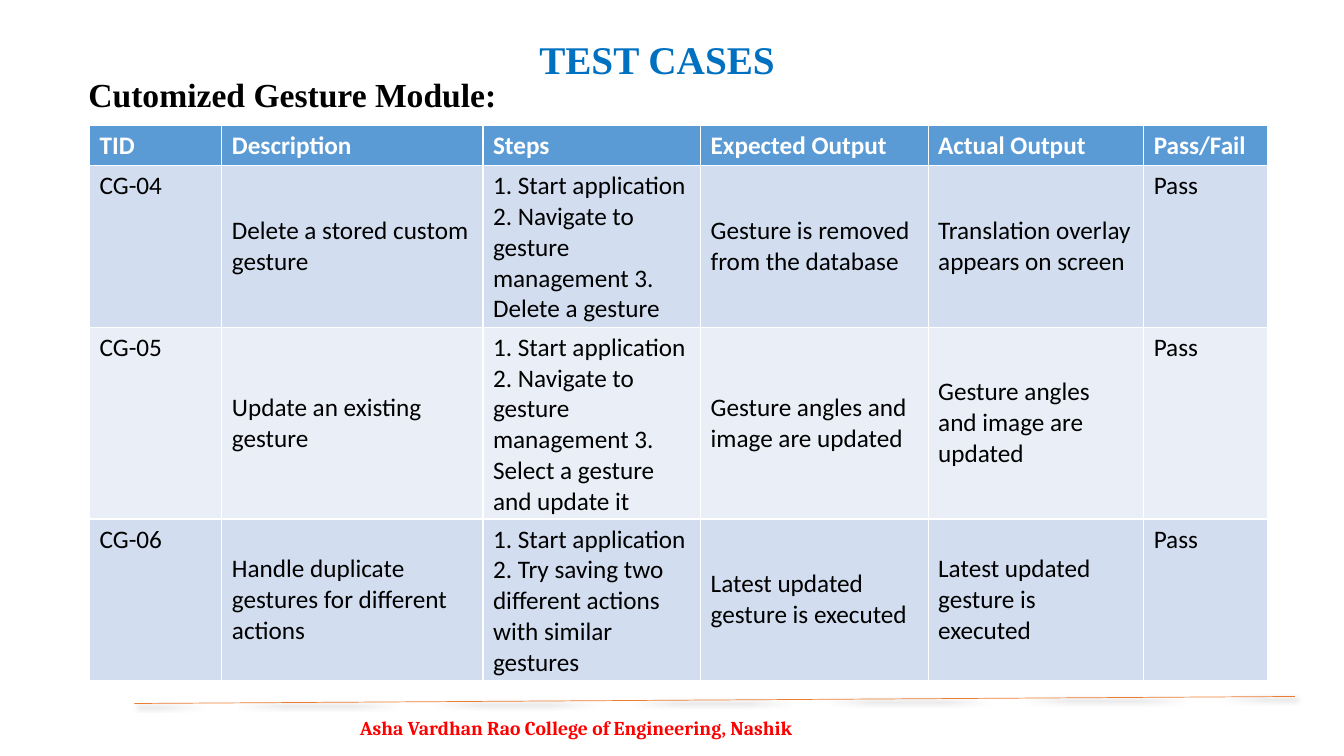
import pptx
import pptx.dml.color
import pptx.enum.shapes
import pptx.enum.text
import pptx.oxml
import pptx.oxml.ns
import pptx.util

Pt = pptx.util.Pt
ANCHOR = pptx.enum.text.MSO_ANCHOR
SERIF = "Times New Roman"

COLUMN_WIDTHS = [94.5, 186.5, 155.5, 162.5, 154, 88.5]
ROW_HEIGHTS = [29, 115, 137, 115]
TEST_CASES = [
    ["TID", "Description", "Steps", "Expected Output", "Actual Output", "Pass/Fail"],
    ["CG-04", "Delete a stored custom gesture",
     "1. Start application 2. Navigate to gesture management 3. Delete a gesture",
     "Gesture is removed from the database",
     "Translation overlay appears on screen", "Pass"],
    ["CG-05", "Update an existing gesture",
     "1. Start application 2. Navigate to gesture management 3. Select a gesture and update it",
     "Gesture angles and image are updated",
     "Gesture angles and image are updated", "Pass"],
    ["CG-06", "Handle duplicate gestures for different actions",
     "1. Start application 2. Try saving two different actions with similar gestures",
     "Latest updated gesture is executed",
     "Latest updated gesture is executed", "Pass"],
]


def color(code):
    return pptx.dml.color.RGBColor.from_string(code)


def write(frame, text, font="Calibri", size=18, fill="000000", bold=False,
          line_spacing=None, space_before=None):
    """Fill a text frame with one left-aligned paragraph."""
    frame.word_wrap = True
    para = frame.paragraphs[0]
    para.alignment = pptx.enum.text.PP_ALIGN.LEFT
    para.line_spacing = line_spacing
    if space_before is not None:
        para.space_before = Pt(space_before)
    span = para.add_run()
    span.text = text
    span.font.name = font
    span.font.size = Pt(size)
    span.font.bold = bold
    span.font.color.rgb = color(fill)


class SlideBuilder:
    """Holds the table colours and the slide being filled."""

    header_fill = "5B9BD5"
    band_fills = ["D2DEEF", "EAEFF7"]

    def __init__(self, page):
        self.page = page

    def title(self, text, left, top, width, height, **style):
        box = self.page.shapes.title
        box.left, box.top, box.width, box.height = map(Pt, (left, top, width, height))
        box.text_frame.vertical_anchor = ANCHOR.TOP
        box.text_frame.auto_size = pptx.enum.text.MSO_AUTO_SIZE.NONE
        write(box.text_frame, text, **style)

    def text(self, text, left, top, width, height, **style):
        box = self.page.shapes.add_textbox(*map(Pt, (left, top, width, height)))
        write(box.text_frame, text, **style)

    def shadowed_line(self, start, end, fill, weight):
        line = self.page.shapes.add_connector(
            pptx.enum.shapes.MSO_CONNECTOR.STRAIGHT, *map(Pt, start + end))
        line.line.color.rgb = color(fill)
        line.line.width = Pt(weight)
        line._element.spPr.append(pptx.oxml.parse_xml(
            f'<a:effectLst {pptx.oxml.ns.nsdecls("a")}>'
            f'<a:outerShdw blurRad="{Pt(4)}" dist="{Pt(3)}" dir="{45 * 60000}">'
            '<a:srgbClr val="000000"><a:alpha val="40000"/></a:srgbClr>'
            '</a:outerShdw></a:effectLst>'))

    def table(self, rows, left, top, widths, heights):
        table = self.page.shapes.add_table(
            len(rows), len(widths),
            *map(Pt, (left, top, sum(widths), sum(heights)))).table
        for column, width in zip(table.columns, widths):
            column.width = Pt(width)
        for index, (row, height, texts) in enumerate(zip(table.rows, heights, rows)):
            row.height = Pt(height)
            header = index == 0
            fill = self.header_fill if header else self.band_fills[(index - 1) % 2]
            for position, (cell, text) in enumerate(zip(row.cells, texts)):
                cell.fill.solid()
                cell.fill.fore_color.rgb = color(fill)
                if not header and 0 < position < len(widths) - 1:
                    cell.vertical_anchor = ANCHOR.MIDDLE
                write(cell.text_frame, text, bold=header,
                      fill="FFFFFF" if header else "000000")


def main():
    deck = pptx.Presentation()
    deck.slide_width, deck.slide_height = Pt(960), Pt(540)
    slide = SlideBuilder(deck.slides.add_slide(deck.slide_layouts[5]))
    slide.text("Asha Vardhan Rao College of Engineering, Nashik", 250, 510, 420, 30,
               font="Cambria", size=14, fill="FF0000", bold=True,
               line_spacing=0.9, space_before=10)
    slide.shadowed_line((96, 502.5), (925, 497.5), "ED7D31", 0.5)
    slide.title("TEST CASES", 378, 21.5, 361, 41,
                font=SERIF, size=28, fill="0070C0", bold=True)
    slide.text("Cutomized Gesture Module:", 56, 49.5, 726.5, 80,
               font=SERIF, size=24, bold=True)
    slide.table(TEST_CASES, 64, 89.5, COLUMN_WIDTHS, ROW_HEIGHTS)
    deck.save("out.pptx")


if __name__ == "__main__":
    main()
